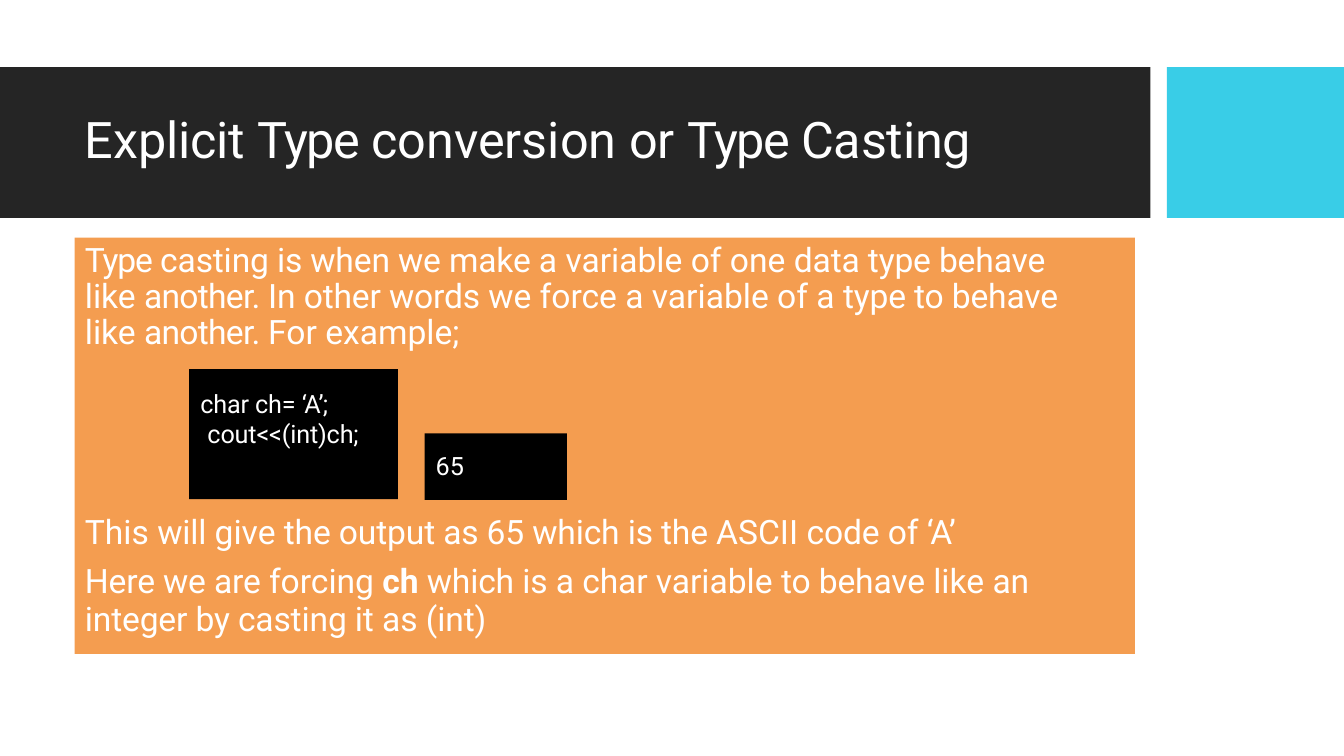
from dataclasses import dataclass

from pptx import Presentation
from pptx.dml.color import RGBColor
from pptx.enum.shapes import MSO_SHAPE
from pptx.enum.text import MSO_ANCHOR, PP_ALIGN
from pptx.util import Cm, Pt

FONT = "Roboto"
WHITE, BLACK, CHARCOAL, CYAN, ORANGE = "FFFFFF", "000000", "252525", "39CDE7", "F49D50"


@dataclass
class Piece:
    text: str
    spacing: float = 0  # letter spacing in points
    bold: bool = False


@dataclass
class Line:
    pieces: list[Piece]
    indent: float = 0.03
    spacing: float | None = None
    before: float = 0


@dataclass
class Block:
    left: float
    top: float
    width: float
    height: float
    fill: str | None = None
    lines: tuple[Line, ...] = ()
    size: float = 24
    top_inset: float = 0


def color(value: str) -> RGBColor:
    return RGBColor.from_string(value)


def write_line(paragraph, line: Line, size: float) -> None:
    paragraph.alignment = PP_ALIGN.LEFT
    paragraph.space_before = Pt(line.before)
    if line.spacing:
        paragraph.line_spacing = Pt(line.spacing)
    paragraph._p.get_or_add_pPr().set("marL", str(Cm(line.indent)))
    for piece in line.pieces:
        run = paragraph.add_run()
        run.text = piece.text
        run.font.name, run.font.size = FONT, Pt(size)
        run.font.bold = piece.bold
        run.font.color.rgb = color(WHITE)
        run._r.get_or_add_rPr().set("spc", str(round(piece.spacing * 100)))


def draw_block(slide, block: Block) -> None:
    place = [Cm(value) for value in (block.left, block.top, block.width, block.height)]
    if block.fill:
        shape = slide.shapes.add_shape(MSO_SHAPE.RECTANGLE, *place)
        shape.shadow.inherit = False
        shape.fill.solid()
        shape.fill.fore_color.rgb = color(block.fill)
        shape.line.fill.background()
    else:
        shape = slide.shapes.add_textbox(*place)
    text_frame = shape.text_frame
    text_frame.word_wrap = True
    text_frame.vertical_anchor = MSO_ANCHOR.TOP
    text_frame.margin_left = text_frame.margin_right = text_frame.margin_bottom = 0
    text_frame.margin_top = Cm(block.top_inset)
    for index, line in enumerate(block.lines):
        paragraph = text_frame.add_paragraph() if index else text_frame.paragraphs[0]
        write_line(paragraph, line, block.size)


# Wording
TITLE = Line([
    Piece("Explicit ", -0.1), Piece("Type ", -1.1), Piece("conversion or "),
    Piece("Type ", -1.1), Piece("Casting", -0.1),
])
INTRODUCTION = Line([
    Piece("Type ", -0.8), Piece("casting is when we make ", -0.1),
    Piece("a variable of one "), Piece("data type behave ", -0.1),
    Piece("like "), Piece("another. ", -0.5), Piece("In other words ", -0.1),
    Piece("we force a variable of a "), Piece("type to behave ", -0.1),
    Piece("like "), Piece("another. ", -0.5), Piece("For example;"),
], spacing=25.9)
EXPLANATION = (
    Line([
        Piece("This "), Piece("will ", -0.1), Piece("give "),
        Piece("the output as 65 which is the ", -0.1), Piece("ASCII "),
        Piece("code ", -0.1), Piece("of "), Piece("‘A’", -0.9),
    ]),
    Line([
        Piece("Here we are ", -0.1), Piece("forcing "), Piece("ch ", -0.1, bold=True),
        Piece("which is ", -0.1), Piece("a "), Piece("char ", -0.1),
        Piece("variable "), Piece("to behave ", -0.1), Piece("like "), Piece("an", -0.1),
    ], spacing=27.4, before=7.2),
    Line([
        Piece("integer by casting it ", -0.1), Piece("as "), Piece("(int)", -0.1),
    ], spacing=27.4),
)
CODE = (
    Line([Piece("char ch= ", -0.1), Piece("‘A’;", -0.6)], indent=0.28),
    Line([Piece("cout<<(int)ch;", -0.1)], indent=0.46),
)
OUTPUT = Line([Piece("65")], indent=0.28)

# Parts from back to front
BLOCKS = (
    Block(0, 1.69, 28.99, 3.8, CHARCOAL),
    Block(29.41, 1.69, 4.46, 3.8, CYAN),
    Block(2.11, 2.69, 22.81, 1.6, lines=(TITLE,), size=36, top_inset=0.03),
    Block(1.88, 5.99, 26.72, 10.49, ORANGE),
    Block(2.11, 5.97, 25.2, 2.92, lines=(INTRODUCTION,), top_inset=0.15),
    Block(2.11, 12.6, 24.89, 3.53, lines=EXPLANATION, top_inset=0.28),
    Block(4.77, 9.3, 5.26, 3.28, BLACK, CODE, 18, 0.48),
    Block(10.7, 10.92, 3.59, 1.68, BLACK, (OUTPUT,), 18, 0.43),
)


def main() -> None:
    presentation = Presentation()
    presentation.slide_width, presentation.slide_height = Cm(33.87), Cm(19.05)
    slide = presentation.slides.add_slide(presentation.slide_layouts[6])
    for block in BLOCKS:
        draw_block(slide, block)
    presentation.save("out.pptx")


if __name__ == "__main__":
    main()
